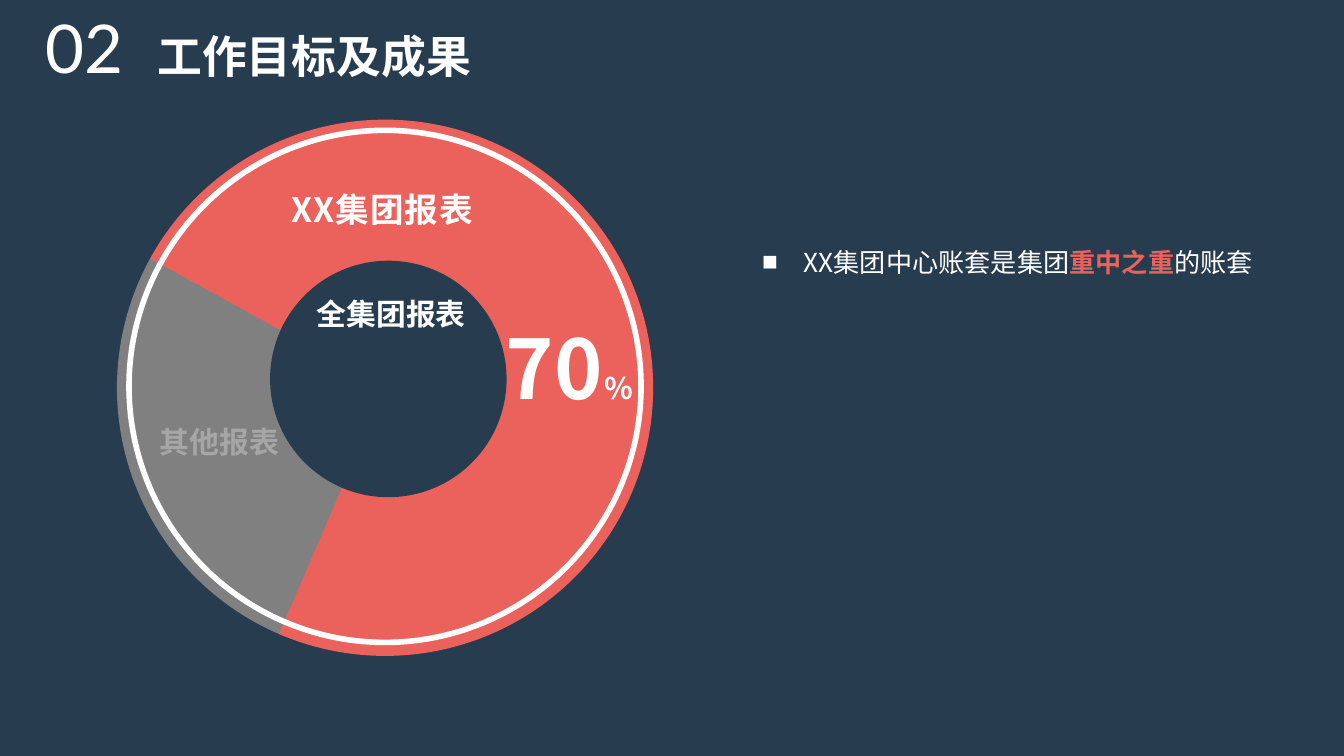
from pptx import Presentation
from pptx.dml.color import RGBColor
from pptx.enum.shapes import MSO_SHAPE
from pptx.enum.text import MSO_ANCHOR, MSO_AUTO_SIZE, PP_ALIGN
from pptx.oxml.ns import qn
from pptx.util import Inches, Pt
from lxml import etree

PIE, OVAL = MSO_SHAPE.PIE, MSO_SHAPE.OVAL
TOP = MSO_ANCHOR.TOP
FIT, NO_FIT = MSO_AUTO_SIZE.SHAPE_TO_FIT_TEXT, MSO_AUTO_SIZE.NONE
LEFT, CENTER = PP_ALIGN.LEFT, PP_ALIGN.CENTER

NAVY = RGBColor(0x28, 0x3C, 0x50)
CORAL = RGBColor(0xEB, 0x62, 0x5C)
GRAY = RGBColor(0x80, 0x80, 0x80)
LIGHT_GRAY = RGBColor(0xA6, 0xA6, 0xA6)
WHITE = RGBColor(0xFF, 0xFF, 0xFF)
LATIN, CHINESE, BULLET_FONT = "Lato", "Noto Sans CJK SC", "Arial"

# Runs: text, size, colour, bold, font
TITLE = [("02\t", 36, WHITE, False, LATIN),
         ("工作目标及成果", 24, WHITE, True, CHINESE)]
BULLET = [("XX集团中心账套是集团", 14, WHITE, False, CHINESE),
          ("重中之重", 14, CORAL, True, CHINESE),
          ("的账套", 14, WHITE, False, CHINESE)]
HUB_LABEL = [("全集团报表", 16, WHITE, True, CHINESE)]
# Labels: left, top, width, height, alignment, wrap, letter spacing, runs
LABELS = [
    (1.64, 1.36, 2.41, 0.40, CENTER, True, 0.5,
     [("XX集团报表", 18, WHITE, True, CHINESE)]),
    (3.66, 2.31, 1.19, 0.84, LEFT, False, 0.5,
     [("70", 44, WHITE, True, CHINESE), ("%", 16, WHITE, True, CHINESE)]),
    (1.09, 3.10, 1.22, 0.37, LEFT, True, 0,
     [("其他报表", 16, LIGHT_GRAY, True, CHINESE)]),
]
# Slices: start and end angle in degrees, colour
SLICES = [(112.65, 208.99, GRAY), (208.84, 113.29, CORAL)]
ADJUSTMENT_PER_DEGREE = 0.6
PIE_BOX = (0.87, 0.89, 3.99, 3.99)
RING_BOX = (0.96, 0.97, 3.81, 3.81)
HUB_BOX = (2.01, 1.94, 1.76, 1.76)
HUB_LABEL_BOX = (2.26, 2.15, 1.35, 0.37)
TITLE_BOX = (0.34, 0.05, 3.36, 0.42)
BULLET_BOX = (5.57, 1.78, 3.91, 0.34)


def place(shape, box):
    shape.left, shape.top, shape.width, shape.height = map(Inches, box)


def add_runs(paragraph, runs, spacing=0):
    for text, size, color, bold, font_name in runs:
        run = paragraph.add_run()
        run.text = text
        run.font.size = Pt(size)
        run.font.bold = bold
        run.font.color.rgb = color
        run.font.name = font_name
        properties = run.font._element
        etree.SubElement(properties, qn("a:ea")).set("typeface", font_name)
        if spacing:
            properties.set("spc", str(int(spacing * 100)))


def add_round(shapes, kind, box, fill=None):
    shape = shapes.add_shape(kind, *map(Inches, box))
    shape.shadow.inherit = False
    if fill is None:
        shape.fill.background()
    else:
        shape.fill.solid()
        shape.fill.fore_color.rgb = fill
        shape.line.fill.background()
    return shape


def add_label(shapes, box, runs, alignment=LEFT, wrap=True, spacing=0):
    frame = shapes.add_textbox(*map(Inches, box)).text_frame
    frame.word_wrap = wrap
    frame.auto_size = FIT
    frame.paragraphs[0].alignment = alignment
    add_runs(frame.paragraphs[0], runs, spacing)


def fill_title(title):
    place(title, TITLE_BOX)
    frame = title.text_frame
    frame.margin_left = frame.margin_top = 0
    frame.margin_right = frame.margin_bottom = 0
    frame.vertical_anchor = TOP
    frame.auto_size = NO_FIT
    paragraph = frame.paragraphs[0]
    paragraph.alignment = LEFT
    tabs = etree.SubElement(paragraph._p.get_or_add_pPr(), qn("a:tabLst"))
    tab = etree.SubElement(tabs, qn("a:tab"))
    tab.set("pos", str(Inches(0.83)))
    tab.set("algn", "l")
    add_runs(paragraph, TITLE)


def fill_bullet(body):
    place(body, BULLET_BOX)
    frame = body.text_frame
    frame.word_wrap = False
    frame.auto_size = FIT
    paragraph = frame.paragraphs[0]
    paragraph.space_before = Pt(0)
    properties = paragraph._p.get_or_add_pPr()
    properties.set("marL", str(Inches(0.31)))
    properties.set("indent", str(-Inches(0.31)))
    etree.SubElement(properties, qn("a:buFont")).set("typeface", BULLET_FONT)
    etree.SubElement(properties, qn("a:buChar")).set("char", "■")
    add_runs(paragraph, BULLET)


presentation = Presentation()
presentation.slide_width = Inches(10)
presentation.slide_height = presentation.slide_width * 9 // 16
slide = presentation.slides.add_slide(presentation.slide_layouts[1])
slide.background.fill.solid()
slide.background.fill.fore_color.rgb = NAVY

fill_title(slide.shapes.title)
fill_bullet(slide.placeholders[1])

for start, end, color in SLICES:
    pie = add_round(slide.shapes, PIE, PIE_BOX, color)
    pie.adjustments[0] = start * ADJUSTMENT_PER_DEGREE
    pie.adjustments[1] = end * ADJUSTMENT_PER_DEGREE

ring = add_round(slide.shapes, OVAL, RING_BOX)
ring.line.color.rgb = WHITE
ring.line.width = Pt(3)

hub = slide.shapes.add_group_shape()
add_round(hub.shapes, OVAL, HUB_BOX, NAVY)
add_label(hub.shapes, HUB_LABEL_BOX, HUB_LABEL)

for *box, alignment, wrap, spacing, runs in LABELS:
    add_label(slide.shapes, box, runs, alignment, wrap, spacing)

presentation.save("out.pptx")
